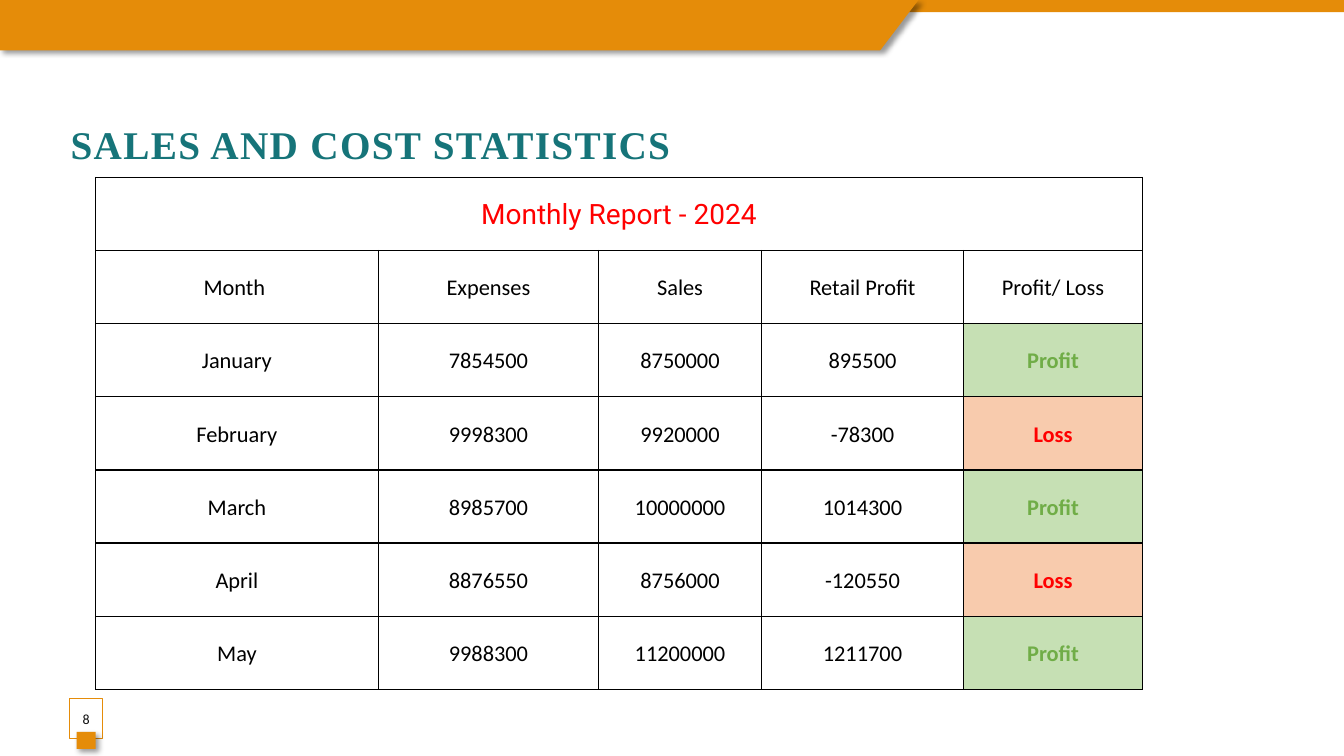
import lxml.etree
import pptx
import pptx.dml.color
import pptx.enum.shapes
import pptx.enum.text
import pptx.oxml
import pptx.oxml.ns
import pptx.util

Inches, Pt = pptx.util.Inches, pptx.util.Pt
RGB = pptx.dml.color.RGBColor.from_string
ANCHOR = pptx.enum.text.MSO_ANCHOR
ALIGN = pptx.enum.text.PP_ALIGN
RECT = pptx.enum.shapes.MSO_SHAPE.RECTANGLE
qn = pptx.oxml.ns.qn

# Content
TITLE = "SALES AND COST STATISTICS"
PAGE = "8"
REPORT = "Monthly Report - 2024"
HEADER = ("Month ", "Expenses", "Sales", "Retail Profit", "Profit/ Loss")
MONTHS = [
    ("January", "7854500", "8750000", "895500", "Profit"),
    ("February", "9998300", "9920000", "-78300", "Loss"),
    ("March", "8985700", "10000000", "1014300", "Profit"),
    ("April", "8876550", "8756000", "-120550", "Loss"),
    ("May", "9988300", "11200000", "1211700", "Profit"),
]

# Theme
THEME = {
    "accent": "E58C09", "paper": "FFFFFF", "rule": "000000",
    "fills": {"Profit": "C6E0B4", "Loss": "F8CBAD"},
    "title": {"name": "Times New Roman", "size": 28, "color": "167479", "bold": True},
    "page": {"name": "Calibri", "size": 10, "color": "0D0D0D", "bold": False},
    "report": {"name": "Roboto", "size": 20, "color": "FF0000", "bold": False},
    "body": {"name": "Calibri", "size": 16, "color": "000000", "bold": False},
    "Profit": {"name": "Calibri", "size": 16, "color": "70AD47", "bold": True},
    "Loss": {"name": "Calibri", "size": 16, "color": "FF0000", "bold": True},
}

# Layout in inches
SLIDE_W, SLIDE_H = 13.33, 7.5
BANNER = [(0, 0), (9.11, 0), (8.73, 0.5), (0, 0.5)]
TABLE_X, TABLE_Y = 0.95, 1.76
COLS = (2.8, 2.19, 1.61, 2.01, 1.77)
ROW_H = 5.08 / 7


def box(*lengths):
    return [Inches(v) for v in lengths]


def write(tf, text, style, **paragraph):
    p = tf.paragraphs[0]
    for name, value in paragraph.items():
        setattr(p, name, value)
    r = p.add_run()
    r.text = text
    font = THEME[style]
    for name, value in {"name": font["name"], "size": Pt(font["size"]),
                        "bold": font["bold"]}.items():
        setattr(r.font, name, value)
    r.font.color.rgb = RGB(font["color"])
    return r


def paint(sp, color, shadow=False):
    sp.fill.solid()
    sp.fill.fore_color.rgb = RGB(color)
    sp.line.fill.background()
    sp.shadow.inherit = False
    if shadow:
        effects = sp._element.spPr.find(qn("a:effectLst"))
        outer = lxml.etree.SubElement(
            effects, qn("a:outerShdw"), blurRad=str(Pt(4)), dist=str(Pt(3)),
            dir="2700000", algn="tl", rotWithShape="0")
        black = lxml.etree.SubElement(outer, qn("a:srgbClr"), val="000000")
        lxml.etree.SubElement(black, qn("a:alpha"), val="40000")


def add_borders(cell):
    tcPr = cell._tc.get_or_add_tcPr()
    for i, side in enumerate(("a:lnL", "a:lnR", "a:lnT", "a:lnB")):
        ln = pptx.oxml.parse_xml(
            f'<{side} {pptx.oxml.ns.nsdecls("a")} w="{Pt(1)}"><a:solidFill>'
            f'<a:srgbClr val="{THEME["rule"]}"/></a:solidFill></{side}>')
        tcPr.insert(i, ln)


def add_header_bars(slide):
    strip = slide.shapes.add_shape(RECT, *box(0, 0, SLIDE_W, 0.12))
    paint(strip, THEME["accent"])
    points = [box(*point) for point in BANNER]
    builder = slide.shapes.build_freeform(*points[0])
    builder.add_line_segments(points[1:], close=True)
    paint(builder.convert_to_shape(), THEME["accent"], shadow=True)


def add_title(slide):
    sp = slide.shapes.title
    sp.left, sp.top, sp.width, sp.height = box(0.6, 1.08, 6.23, 0.67)
    tf = sp.text_frame
    tf.vertical_anchor = ANCHOR.MIDDLE
    r = write(tf, TITLE, "title", alignment=ALIGN.LEFT, line_spacing=1.07,
              space_after=Pt(8))
    r.font._element.set("spc", "100")


def add_page_number(slide):
    sp = slide.shapes.add_shape(RECT, *box(0.69, 6.93, 0.33, 0.4))
    paint(sp, THEME["paper"])
    color = sp._element.spPr.find(qn("a:solidFill"))[0]
    lxml.etree.SubElement(color, qn("a:alpha"), val="82000")
    sp.line.color.rgb = RGB(THEME["accent"])
    sp.line.width = Pt(0.75)
    tf = sp.text_frame
    tf.margin_left = tf.margin_right = 0
    tf.vertical_anchor = ANCHOR.MIDDLE
    write(tf, PAGE, "page", alignment=ALIGN.CENTER)
    tab = slide.shapes.add_shape(RECT, *box(0.76, 7.26, 0.19, 0.17))
    paint(tab, THEME["accent"], shadow=True)


def add_report_table(slide):
    rows = [(REPORT, "", "", "", ""), HEADER, *MONTHS]
    frame = slide.shapes.add_table(
        len(rows), len(COLS),
        *box(TABLE_X, TABLE_Y, sum(COLS), ROW_H * len(rows)))
    table = frame.table
    table.first_row = table.horz_banding = False
    for column, width in zip(table.columns, COLS):
        column.width = Inches(width)
    cell_format = {"vertical_anchor": ANCHOR.MIDDLE,
                   "margin_left": Inches(0.07), "margin_right": Inches(0.07),
                   "margin_top": 0, "margin_bottom": 0}
    for i, values in enumerate(rows):
        table.rows[i].height = Inches(ROW_H)
        for j, text in enumerate(values):
            cell = table.cell(i, j)
            for name, value in cell_format.items():
                setattr(cell, name, value)
            cell.fill.solid()
            cell.fill.fore_color.rgb = RGB(THEME["fills"].get(text, THEME["paper"]))
            add_borders(cell)
            if text:
                style = "report" if i == 0 else text if text in THEME["fills"] else "body"
                write(cell.text_frame, text, style, alignment=ALIGN.CENTER,
                      line_spacing=1.07)
    table.cell(0, 0).merge(table.cell(0, len(COLS) - 1))


def main():
    prs = pptx.Presentation()
    prs.slide_width, prs.slide_height = box(SLIDE_W, SLIDE_H)
    slide = prs.slides.add_slide(prs.slide_layouts.get_by_name("Title Only"))
    add_header_bars(slide)
    add_title(slide)
    add_page_number(slide)
    add_report_table(slide)
    prs.save("out.pptx")


if __name__ == "__main__":
    main()
